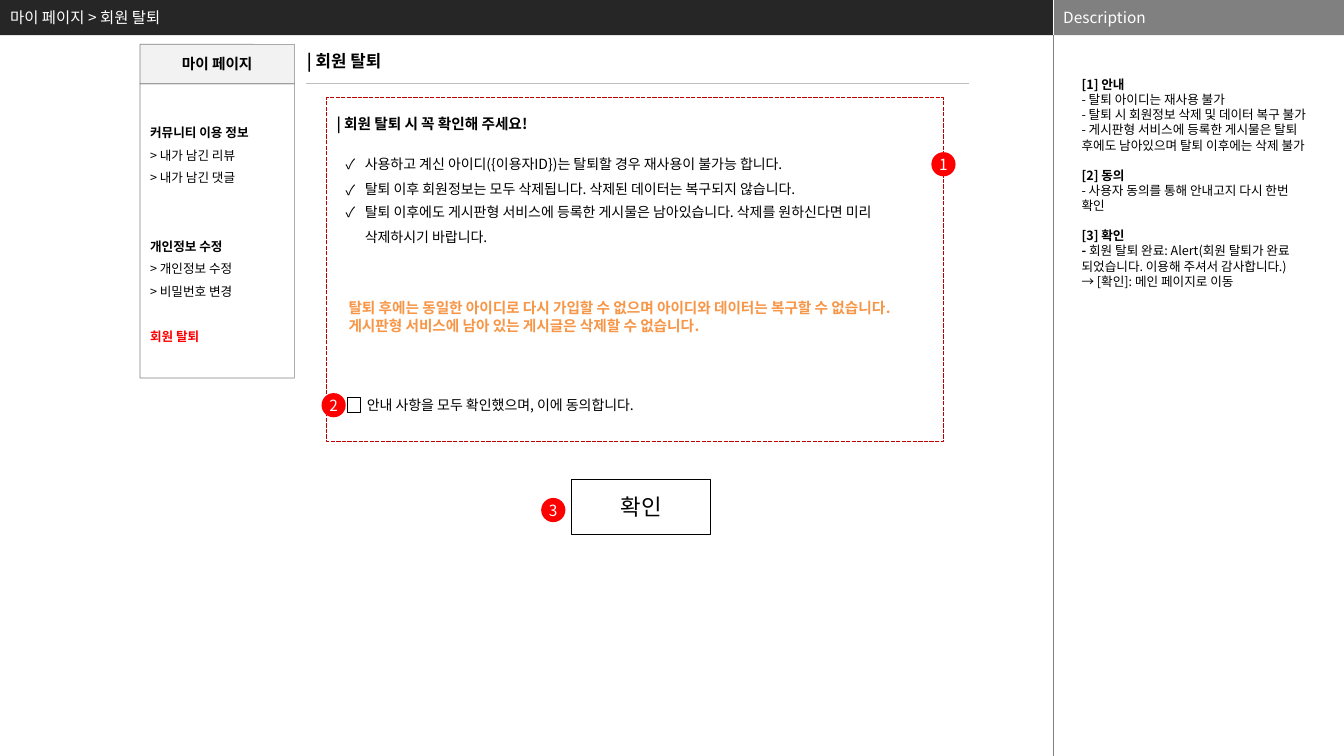
from dataclasses import dataclass

from lxml.etree import SubElement
from pptx import Presentation
from pptx.dml.color import RGBColor
from pptx.enum.dml import MSO_LINE
from pptx.enum.shapes import MSO_CONNECTOR, MSO_SHAPE
from pptx.enum.text import MSO_ANCHOR, PP_ALIGN
from pptx.oxml.ns import qn
from pptx.util import Pt


@dataclass(frozen=True)
class Theme:
    """Font, colours and type sizes of the wireframe."""
    font: str = "Noto Sans CJK KR"
    black: str = "000000"
    white: str = "FFFFFF"
    bar: str = "262626"
    gray: str = "808080"
    rule: str = "BFBFBF"
    panel: str = "F2F2F2"
    red: str = "FF0000"
    frame: str = "C00000"
    orange: str = "F79646"
    small: float = 9
    body: float = 10
    strong: float = 10.5
    label: float = 11
    heading: float = 12
    button: float = 16
    tight: float = 1.2
    loose: float = 1.8


T = Theme()


def add_text(tf, text, size=T.body, color=T.black, bold=False, align=PP_ALIGN.LEFT,
             leading=T.tight, before=0, bullet=None, bold_lead=""):
    """Write one formatted paragraph into a text frame."""
    p = tf.paragraphs[0]
    if p.runs:
        p = tf.add_paragraph()
    p.alignment = align
    p.line_spacing = Pt(size * leading)
    p.space_before = Pt(before)
    pPr = p._p.get_or_add_pPr()
    if bullet:
        pPr.set("marL", str(Pt(13.7)))
        pPr.set("indent", str(-Pt(13.7)))
        SubElement(pPr, qn("a:buFont"), typeface=T.font)
        SubElement(pPr, qn("a:buChar"), char=bullet)
    else:
        SubElement(pPr, qn("a:buNone"))
    for part, weight in ((bold_lead, True), (text, bold)):
        if part:
            r = p.add_run()
            r.text = part
            r.font.size = Pt(size)
            r.font.bold = weight
            r.font.name = T.font
            r.font.color.rgb = RGBColor.from_string(color)
            SubElement(r._r.get_or_add_rPr(), qn("a:ea"), typeface=T.font)


def set_frame(tf, anchor=MSO_ANCHOR.MIDDLE, inset=(7.2, 3.6), wrap=True):
    """Set anchor, insets and wrapping of a text frame."""
    tf.vertical_anchor = anchor
    tf.margin_left = tf.margin_right = Pt(inset[0])
    tf.margin_top = tf.margin_bottom = Pt(inset[1])
    tf.word_wrap = wrap
    return tf


def add_box(s, x, y, w, h, fill=None, line=None, width=0.75, dash=None,
            kind=MSO_SHAPE.RECTANGLE):
    """Draw a preset shape with optional fill and outline."""
    sp = s.shapes.add_shape(kind, Pt(x), Pt(y), Pt(w), Pt(h))
    sp.shadow.inherit = False
    if kind == MSO_SHAPE.ROUNDED_RECTANGLE:
        sp.adjustments[0] = 0.001
    if fill:
        sp.fill.solid()
        sp.fill.fore_color.rgb = RGBColor.from_string(fill)
    else:
        sp.fill.background()
    if line:
        sp.line.color.rgb = RGBColor.from_string(line)
        sp.line.width = Pt(width)
        if dash:
            sp.line.dash_style = dash
    else:
        sp.line.fill.background()
    return sp


def add_note(s, x, y, w, h, inset=(7.2, 3.6)):
    """Place a wrapping text box and return its text frame."""
    tb = s.shapes.add_textbox(Pt(x), Pt(y), Pt(w), Pt(h))
    return set_frame(tb.text_frame, MSO_ANCHOR.TOP, inset)


def add_rule(s, x1, y1, x2, y2, color, width):
    """Draw a straight line without shadow."""
    c = s.shapes.add_connector(MSO_CONNECTOR.STRAIGHT, Pt(x1), Pt(y1), Pt(x2), Pt(y2))
    c.line.color.rgb = RGBColor.from_string(color)
    c.line.width = Pt(width)
    SubElement(c._element.spPr, qn("a:effectLst"))


def add_badge(s, number, x, y):
    """Draw a numbered red marker."""
    sp = add_box(s, x, y, 17.3, 17.3, fill=T.red, kind=MSO_SHAPE.OVAL)
    tf = set_frame(sp.text_frame, inset=(0, 0), wrap=False)
    add_text(tf, str(number), size=T.label, color=T.white, align=PP_ALIGN.CENTER)


def add_header(s):
    """Format the title bar and the description bar."""
    title = s.shapes.title
    title.left, title.top, title.width, title.height = Pt(0), Pt(0), Pt(752.4), Pt(25.2)
    title.fill.solid()
    title.fill.fore_color.rgb = RGBColor.from_string(T.bar)
    add_text(set_frame(title.text_frame), "마이 페이지 > 회원 탈퇴", size=T.label, color=T.white)
    sp = add_box(s, 752.4, 0, 207.6, 25.2, fill=T.gray)
    add_text(set_frame(sp.text_frame), "Description", size=T.label, color=T.white)
    add_rule(s, 752.4, 0, 752.4, 25.2, T.white, 0.25)
    add_rule(s, 752.4, 25.2, 752.4, 540, T.gray, 0.25)


def add_description(s):
    """Write the numbered description column."""
    sections = [
        ("[1] 안내", ["탈퇴 아이디는 재사용 불가",
                    "탈퇴 시 회원정보 삭제 및 데이터 복구 불가",
                    "게시판형 서비스에 등록한 게시물은 탈퇴 후에도 남아있으며 탈퇴 이후에는 삭제 불가"]),
        ("[2] 동의", ["사용자 동의를 통해 안내고지 다시 한번 확인"]),
    ]
    tf = add_note(s, 769.7, 55, 168.5, 480, inset=(2.9, 0))
    gap = 0
    for head, items in sections:
        add_text(tf, head, size=T.small, bold=True, before=gap)
        for item in items:
            add_text(tf, f"- {item}", size=T.small)
        gap = T.small * T.tight
    add_text(tf, "[3] 확인", size=T.small, bold=True, before=gap)
    add_text(tf, "회원 탈퇴 완료: Alert(회원 탈퇴가 완료 되었습니다. 이용해 주셔서 감사합니다.)",
             size=T.small, bold_lead="- ")
    add_text(tf, "→ [확인]: 메인 페이지로 이동", size=T.small)


def add_sidebar(s):
    """Draw the my-page menu."""
    kind = MSO_SHAPE.ROUNDED_RECTANGLE
    menu = add_box(s, 100.1, 59.8, 110.2, 210.2, line=T.gray, width=0.5, kind=kind)
    tf = set_frame(menu.text_frame)
    row = T.small * T.loose
    groups = [("커뮤니티 이용 정보", ["내가 남긴 리뷰", "내가 남긴 댓글"], 0, T.black),
              ("개인정보 수정", ["개인정보 수정", "비밀번호 변경"], 2 * row, T.black),
              ("회원 탈퇴", [], row, T.red)]
    for head, items, gap, color in groups:
        add_text(tf, head, size=T.small, color=color, bold=True, leading=T.loose, before=gap)
        for item in items:
            add_text(tf, f"> {item}", size=T.small, leading=T.loose)
    top = add_box(s, 100.1, 31.7, 110.2, 28.1, fill=T.panel, line=T.gray, width=0.5, kind=kind)
    add_text(set_frame(top.text_frame), "마이 페이지", size=T.strong, bold=True,
             align=PP_ALIGN.CENTER)


def add_notice(s):
    """Draw the withdrawal notice with its consent row."""
    add_text(add_note(s, 212.2, 33, 198.7, 21.6), "| 회원 탈퇴", size=T.heading, bold=True)
    add_rule(s, 218.9, 59.8, 691.9, 59.8, T.rule, 0.75)
    add_box(s, 233.3, 69.8, 440.6, 245.5, line=T.frame, width=1, dash=MSO_LINE.SQUARE_DOT)
    add_text(add_note(s, 233.3, 78.5, 174.2, 20.9), "| 회원 탈퇴 시 꼭 확인해 주세요!",
             size=T.strong, bold=True)
    checks = [
        (101.5, ["사용하고 계신 아이디({이용자ID})는 탈퇴할 경우 재사용이 불가능 합니다.",
                 "탈퇴 이후 회원정보는 모두 삭제됩니다. 삭제된 데이터는 복구되지 않습니다."]),
        (135.9, ["탈퇴 이후에도 게시판형 서비스에 등록한 게시물은 남아있습니다. "
                 "삭제를 원하신다면 미리 삭제하시기 바랍니다."]),
    ]
    for y, items in checks:
        tf = add_note(s, 239.8, y, 403.2, 43.2)
        for item in items:
            add_text(tf, item, leading=T.loose, bullet="✓")
    tf = add_note(s, 241.9, 209.9, 426.2, 45.4)
    for line in ("탈퇴 후에는 동일한 아이디로 다시 가입할 수 없으며 아이디와 데이터는 복구할 수 없습니다.",
                 "게시판형 서비스에 남아 있는 게시글은 삭제할 수 없습니다."):
        add_text(tf, line, size=T.strong, color=T.orange, bold=True)
    add_box(s, 248.4, 284.2, 9.4, 10.8, fill=T.white, line=T.black)
    add_text(add_note(s, 254.9, 279.4, 279.4, 19.4), "안내 사항을 모두 확인했으며, 이에 동의합니다.")


def add_confirm_button(s):
    """Draw the confirm button."""
    sp = add_box(s, 408.2, 342.7, 99.4, 38.9, fill=T.white, line=T.black)
    tf = set_frame(sp.text_frame, inset=(2.9, 2.9), wrap=False)
    add_text(tf, "확인", size=T.button, align=PP_ALIGN.CENTER)


def main():
    """Build and save the slide."""
    prs = Presentation()
    prs.slide_width, prs.slide_height = Pt(960), Pt(540)
    s = prs.slides.add_slide(prs.slide_layouts[5])
    add_header(s)
    add_description(s)
    add_sidebar(s)
    add_notice(s)
    add_confirm_button(s)
    for number, (x, y) in enumerate([(665.3, 108.7), (229.7, 280.8), (386.6, 355.7)], 1):
        add_badge(s, number, x, y)
    prs.save("out.pptx")


if __name__ == "__main__":
    main()
